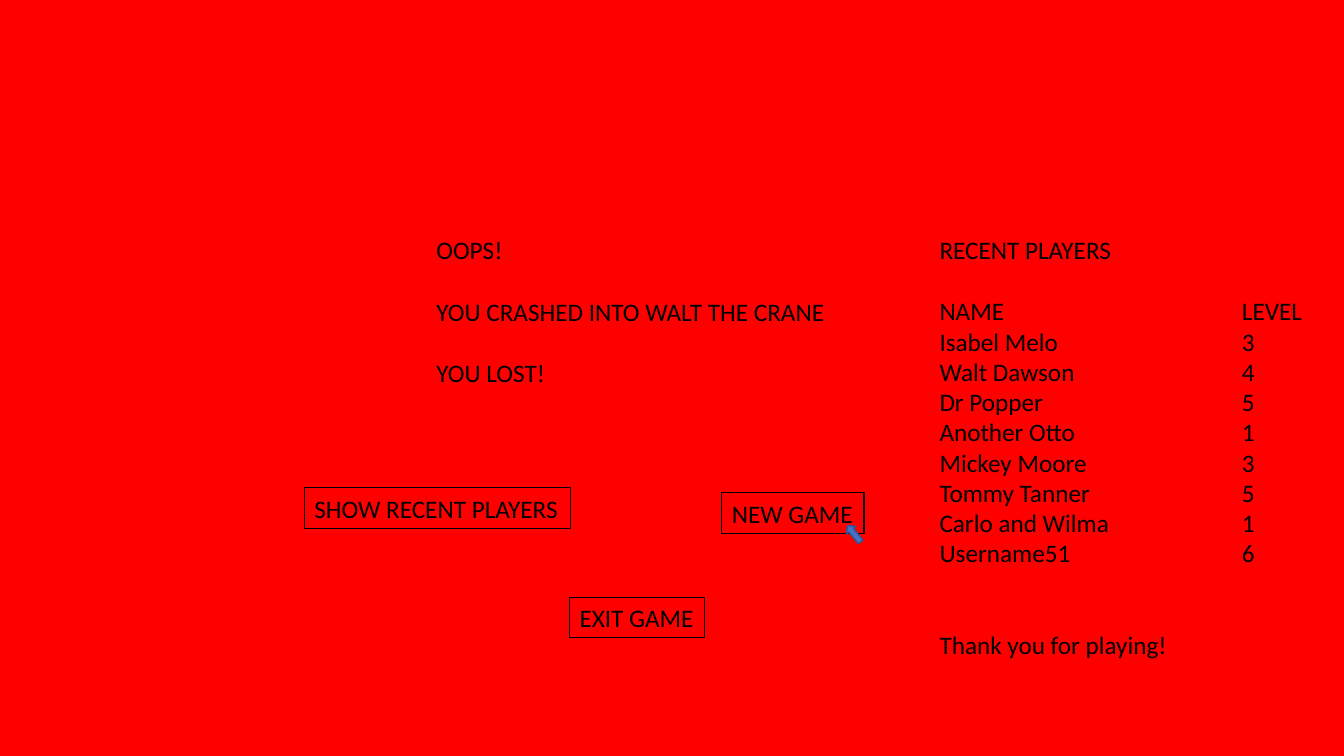
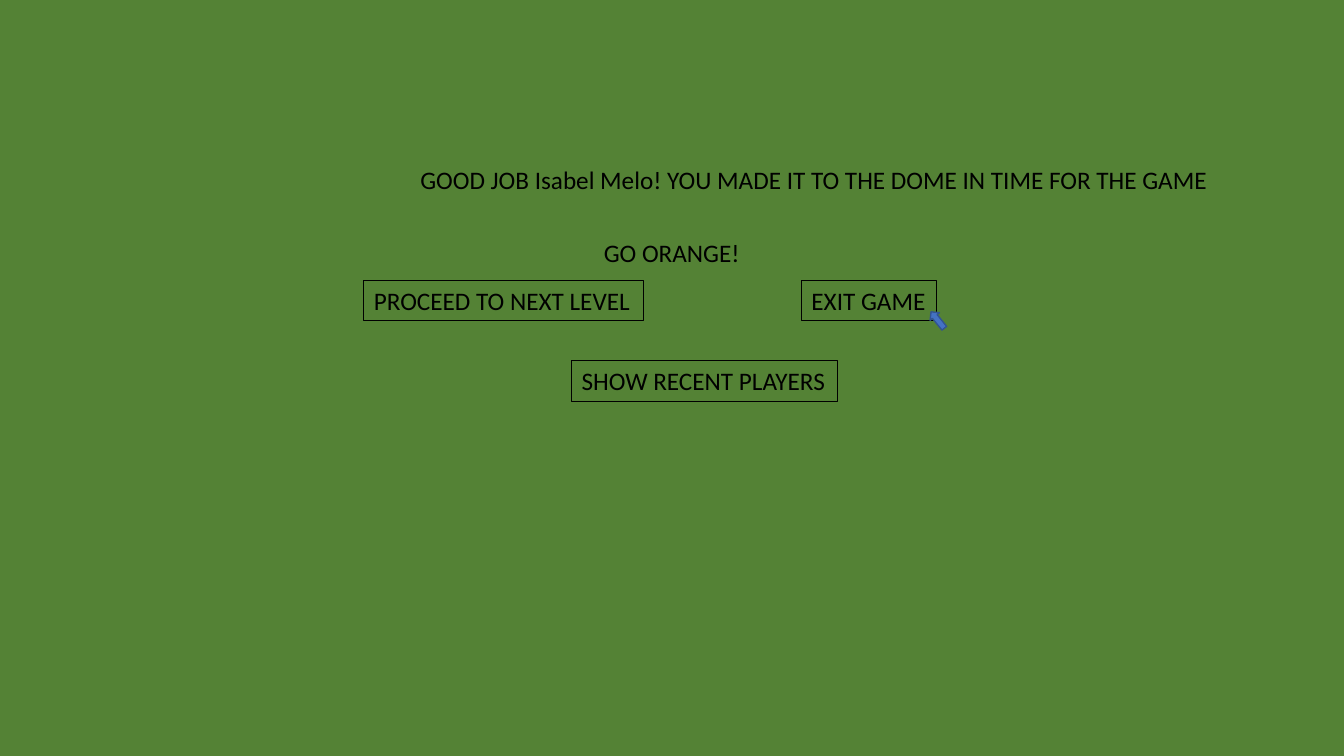
"""Build the two end-of-round screens of a game: lost and won."""
from dataclasses import dataclass

from lxml import etree
from pptx import Presentation
from pptx.dml.color import RGBColor
from pptx.enum.shapes import MSO_SHAPE
from pptx.enum.text import MSO_ANCHOR, PP_ALIGN
from pptx.oxml.ns import qn
from pptx.util import Pt

RECT, UP_ARROW = MSO_SHAPE.RECTANGLE, MSO_SHAPE.UP_ARROW
TOP, LEFT = MSO_ANCHOR.TOP, PP_ALIGN.LEFT
PX = 9144


@dataclass(frozen=True)
class Theme:
    """Colours and type of both screens."""
    lost: str = "FF0000"
    won: str = "548235"
    ink: str = "000000"
    pointer: str = "4472C4"
    pointer_edge: str = "325491"
    font: str = "Calibri"
    size: int = 18
    line: int = 22


THEME = Theme()
SLIDE_SIZE = (1333, 750)
BUTTON_HEIGHT = 40
POINTER_SIZE, POINTER_TURN = (12, 21), 321
LEVEL_TAB = 300

PLAYERS = [
    ("Isabel Melo", 3),
    ("Walt Dawson", 4),
    ("Dr Popper", 5),
    ("Another Otto", 1),
    ("Mickey Moore", 3),
    ("Tommy Tanner", 5),
    ("Carlo and Wilma", 1),
    ("Username51", 6),
]
SCORES = (
    [("RECENT PLAYERS", 0), ("NAME\tLEVEL", 1)]
    + [(f"{name}\t{level}", 0) for name, level in PLAYERS]
    + [("Thank you for playing!", 2)]
)
CRASH = [("OOPS!", 0), ("YOU CRASHED INTO WALT THE CRANE", 1), ("YOU LOST!", 1)]
PRAISE = [("GOOD JOB Isabel Melo! YOU MADE IT TO THE DOME IN TIME FOR THE GAME", 0)]
CHEER = [("GO ORANGE!", 0)]

SCREENS = [
    {
        "background": THEME.lost,
        "messages": [(CRASH, 423, 228, 409, 162), (SCORES, 922, 228, 383, 464)],
        "buttons": [
            ("SHOW RECENT PLAYERS", 302, 484, 264),
            ("NEW GAME", 716, 489, 141),
            ("EXIT GAME", 565, 593, 134),
        ],
        "pointer": (841, 519),
    },
    {
        "background": THEME.won,
        "messages": [(PRAISE, 407, 158, 809, 40), (CHEER, 589, 231, 156, 40)],
        "buttons": [
            ("PROCEED TO NEXT LEVEL", 361, 278, 277),
            ("EXIT GAME", 795, 278, 134),
            ("SHOW RECENT PLAYERS", 567, 358, 264),
        ],
        "pointer": (924, 307),
    },
]


def emu(*lengths):
    return [length * PX for length in lengths]


def rgb(color):
    return RGBColor.from_string(color)


def write(tf, lines):
    """Fill a frame with (text, blank lines before) pairs."""
    tf.word_wrap = True
    tf.vertical_anchor = TOP
    for i, (text, gap) in enumerate(lines):
        p = tf.add_paragraph() if i else tf.paragraphs[0]
        p.alignment = LEFT
        if gap:
            p.space_before = Pt(gap * THEME.line)
        if "\t" in text:
            tabs = etree.SubElement(p._p.get_or_add_pPr(), qn("a:tabLst"))
            etree.SubElement(tabs, qn("a:tab"), pos=str(LEVEL_TAB * PX), algn="l")
        r = p.add_run()
        r.text = text
        r.font.name = THEME.font
        r.font.size = Pt(THEME.size)
        r.font.color.rgb = rgb(THEME.ink)


def add_message(s, lines, *box):
    write(s.shapes.add_textbox(*emu(*box)).text_frame, lines)


def add_outlined(s, kind, box, color, width):
    sp = s.shapes.add_shape(kind, *emu(*box))
    sp.shadow.inherit = False
    sp.line.color.rgb = rgb(color)
    sp.line.width = Pt(width)
    return sp


def add_button(s, label, x, y, width):
    sp = add_outlined(s, RECT, (x, y, width, BUTTON_HEIGHT), THEME.ink, 0.75)
    sp.fill.background()
    write(sp.text_frame, [(label, 0)])


def add_pointer(s, x, y):
    sp = add_outlined(s, UP_ARROW, (x, y, *POINTER_SIZE), THEME.pointer_edge, 1)
    sp.fill.solid()
    sp.fill.fore_color.rgb = rgb(THEME.pointer)
    sp.rotation = POINTER_TURN


def add_screen(prs, screen):
    s = prs.slides.add_slide(prs.slide_layouts[6])
    fill = s.background.fill
    fill.solid()
    fill.fore_color.rgb = rgb(screen["background"])
    for message in screen["messages"]:
        add_message(s, *message)
    for button in screen["buttons"]:
        add_button(s, *button)
    add_pointer(s, *screen["pointer"])


def main():
    prs = Presentation()
    prs.slide_width, prs.slide_height = emu(*SLIDE_SIZE)
    for screen in SCREENS:
        add_screen(prs, screen)
    prs.save("out.pptx")


if __name__ == "__main__":
    main()
